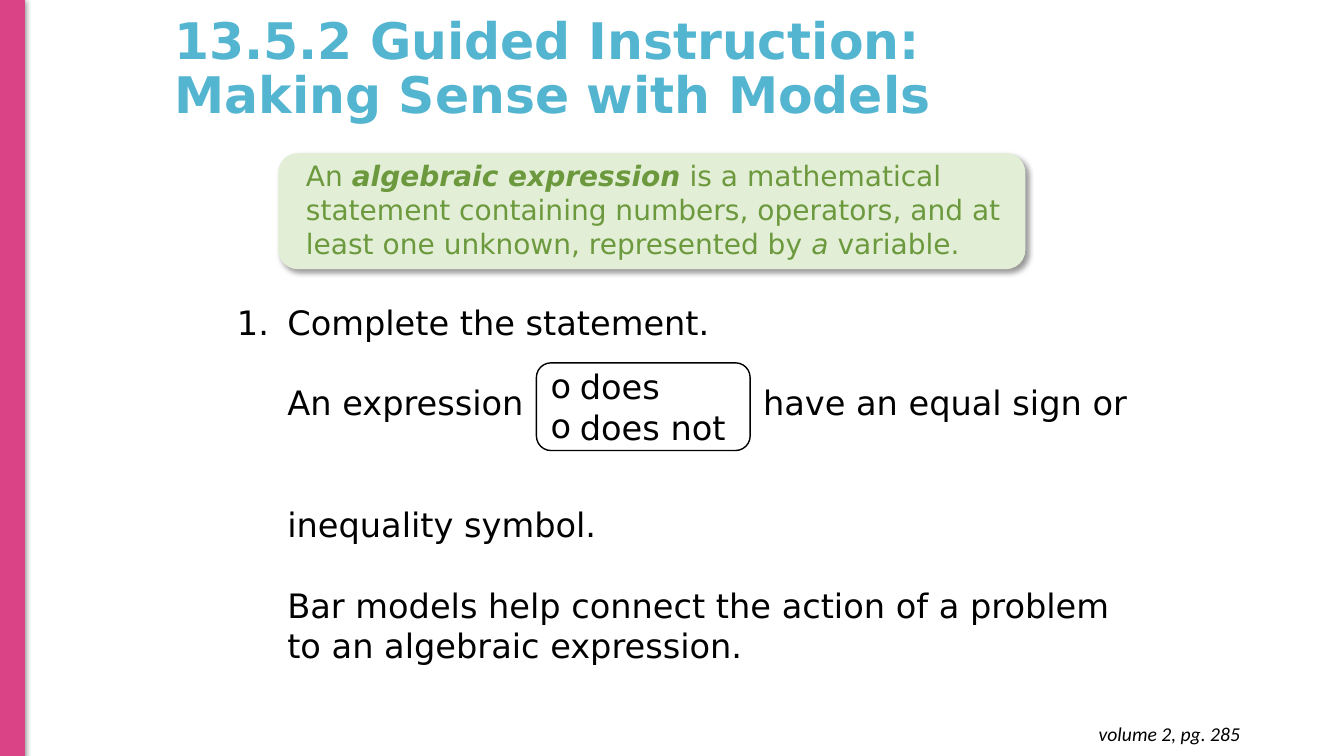
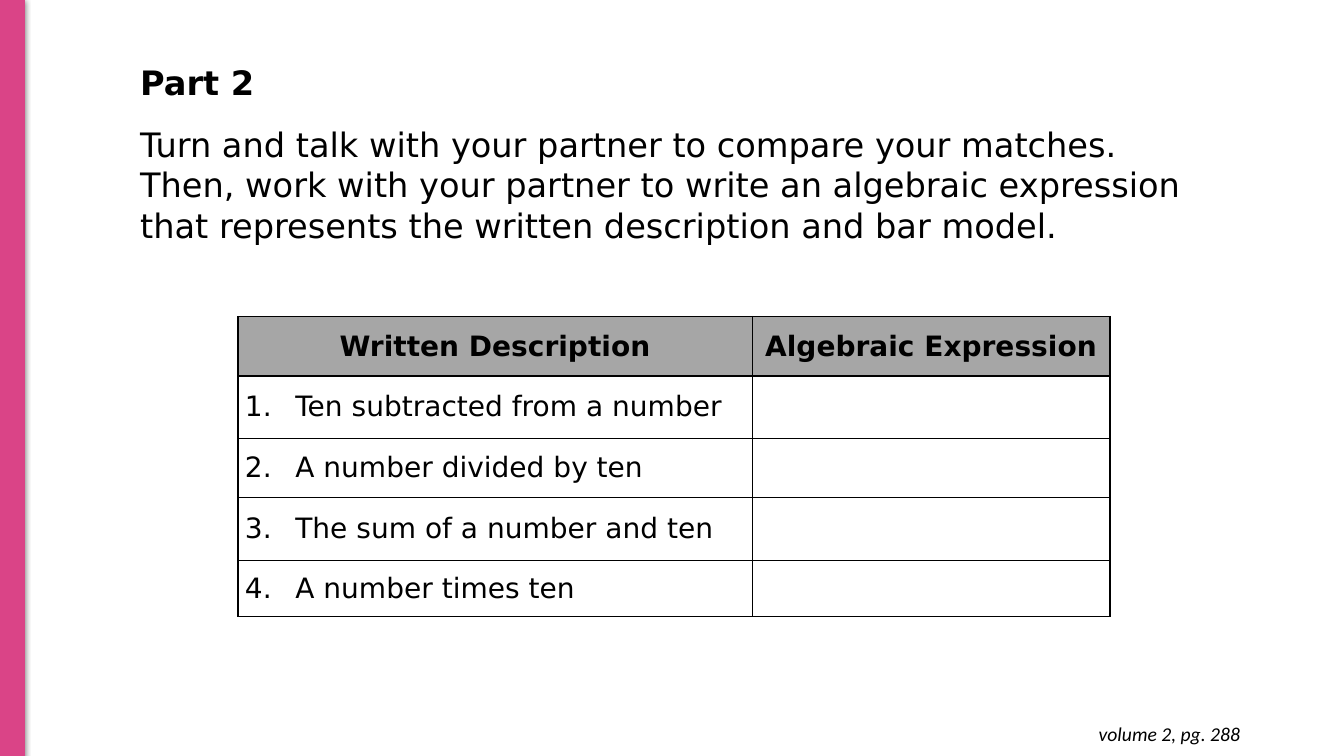
from dataclasses import dataclass, field
from typing import Any

from lxml.etree import SubElement as Sub
from pptx import Presentation
from pptx.dml.color import RGBColor
from pptx.enum.shapes import MSO_SHAPE as Shape
from pptx.enum.text import MSO_ANCHOR as Anchor, MSO_AUTO_SIZE as Fit, PP_ALIGN as Align
from pptx.oxml.ns import qn
from pptx.util import Emu, Pt

PX = 9144

PINK = RGBColor(0xDA, 0x44, 0x87)
BLUE = RGBColor(0x54, 0xB5, 0xD1)
GREEN = RGBColor(0x6C, 0x99, 0x3D)
PALE = RGBColor(0xE2, 0xEE, 0xD5)
GRAY = RGBColor(0xA6, 0xA6, 0xA6)
BLACK = RGBColor(0, 0, 0)
WHITE = RGBColor(0xFF, 0xFF, 0xFF)

SANS = "DejaVu Sans"
HEAD = {"name": SANS, "size": Pt(36), "bold": True}
TEXT = {"name": SANS, "size": Pt(24), "bold": False}
SMALL = {"name": SANS, "size": Pt(20), "bold": False}
NOTE = {"name": "Calibri", "size": Pt(14), "italic": True}
BOLD = {"bold": True}
SLANT = {"italic": True}

INDENT = 50
LINE = 29


@dataclass(frozen=True)
class Box:
    left: int
    top: int
    width: int
    height: int

    def emu(self) -> list[Emu]:
        return [px(n) for n in (self.left, self.top, self.width, self.height)]


@dataclass(frozen=True)
class Run:
    text: str
    font: dict[str, Any] = field(default_factory=dict)


@dataclass(frozen=True)
class Para:
    runs: list[Run]
    left: int = 0
    first: int = 0
    mark: str = ""
    start: int = 0
    before: int = 0
    lines: float = 1.0
    align: Align = Align.LEFT


@dataclass(frozen=True)
class Shade:
    blur: float
    dist: float
    angle: int
    alpha: int


@dataclass(frozen=True)
class Look:
    fill: RGBColor
    line: RGBColor | None = None
    weight: float = 1
    shade: Shade | None = None


def px(count: int) -> Emu:
    return Emu(count * PX)


def put(target: Any, values: dict[str, Any]) -> None:
    for name, value in values.items():
        setattr(target, name, value)


def node(parent: Any, tag: str, **attrs: Any) -> Any:
    return Sub(parent, qn(tag), {key: str(val) for key, val in attrs.items()})


def tint(parent: Any, color: RGBColor) -> Any:
    return node(parent, "a:srgbClr", val=color)


def mark(para: Any, item: Para) -> None:
    props = para._p.get_or_add_pPr()
    props.set("marL", str(px(item.left)))
    props.set("indent", str(px(item.first)))
    if item.start:
        node(props, "a:buAutoNum", type="arabicPeriod", startAt=item.start)
    elif item.mark:
        node(props, "a:buFont", typeface=SANS)
        node(props, "a:buChar", char=item.mark)
    else:
        node(props, "a:buNone")


def write(frame: Any, paras: list[Para], font: dict[str, Any], color: RGBColor) -> None:
    for index, item in enumerate(paras):
        para = frame.add_paragraph() if index else frame.paragraphs[0]
        mark(para, item)
        put(para, {
            "alignment": item.align,
            "line_spacing": item.lines,
            "space_before": Pt(item.before),
            "space_after": Pt(0),
        })
        for part in item.runs:
            run = para.add_run()
            run.text = part.text
            put(run.font, font | part.font)
            run.font.color.rgb = color


def pad(frame: Any, sides: tuple[int, int, int, int], anchor: Anchor) -> None:
    names = ("margin_left", "margin_top", "margin_right", "margin_bottom")
    put(frame, dict(zip(names, map(px, sides))))
    put(frame, {"word_wrap": True, "auto_size": Fit.NONE, "vertical_anchor": anchor})


def place(shape: Any, box: Box, paras: list[Para], font: dict[str, Any],
          color: RGBColor = BLACK, anchor: Anchor = Anchor.TOP,
          sides: tuple[int, int, int, int] = (10, 5, 10, 5)) -> None:
    put(shape, dict(zip(("left", "top", "width", "height"), box.emu())))
    pad(shape.text_frame, sides, anchor)
    write(shape.text_frame, paras, font, color)


def label(slide: Any, box: Box, para: Para, font: dict[str, Any], **options: Any) -> None:
    place(slide.shapes.add_textbox(*box.emu()), box, [para], font, **options)


def draw(slide: Any, kind: Shape, box: Box, look: Look) -> Any:
    shape = slide.shapes.add_shape(kind, *box.emu())
    shape.shadow.inherit = False
    shape.fill.solid()
    shape.fill.fore_color.rgb = look.fill
    if look.line is None:
        shape.line.fill.background()
    else:
        shape.line.color.rgb = look.line
        shape.line.width = Pt(look.weight)
    if look.shade:
        shade = look.shade
        effect = shape._element.spPr.find(qn("a:effectLst"))
        outer = node(effect, "a:outerShdw", blurRad=Pt(shade.blur), dist=Pt(shade.dist),
                     dir=shade.angle * 60000, algn="tl", rotWithShape=0)
        node(tint(outer, BLACK), "a:alpha", val=shade.alpha * 1000)
    return shape


def begin(deck: Any, page: int) -> Any:
    slide = deck.slides.add_slide(deck.slide_layouts[1])
    draw(slide, Shape.RECTANGLE, Box(0, -1, 24, 751),
         Look(PINK, PINK, 0.75, Shade(4.5, 1.5, 90, 50)))
    label(slide, Box(952, 706, 288, 44),
          Para([Run(f"volume 2, pg. {page}")], align=Align.RIGHT),
          NOTE, sides=(10, 10, 10, 10))
    return slide


def border(cell: Any) -> None:
    props = cell._tc.get_or_add_tcPr()
    for side in "LRTB":
        line = node(props, f"a:ln{side}", w=Pt(1))
        tint(node(line, "a:solidFill"), BLACK)


def grid(slide: Any, left: int, top: int, cols: list[int], rows: list[int],
         heads: list[str], items: list[str]) -> None:
    box = Box(left, top, sum(cols), sum(rows))
    table = slide.shapes.add_table(len(rows), len(cols), *box.emu()).table
    put(table, {"first_row": False, "horz_banding": False})
    for col, width in zip(table.columns, cols):
        col.width = px(width)
    for row, height in zip(table.rows, rows):
        row.height = px(height)
    for cell in table.iter_cells():
        border(cell)
        cell.fill.background()
        put(cell, {"margin_left": px(7), "margin_right": px(7), "margin_top": px(4),
                   "margin_bottom": px(4), "vertical_anchor": Anchor.MIDDLE})
    for index, head in enumerate(heads):
        cell = table.cell(0, index)
        cell.fill.solid()
        cell.fill.fore_color.rgb = GRAY
        write(cell.text_frame, [Para([Run(head, BOLD)], align=Align.CENTER)], SMALL, BLACK)
    for index, item in enumerate(items, 1):
        para = Para([Run(item)], left=INDENT, first=-INDENT, start=index)
        write(table.cell(index, 0).text_frame, [para], SMALL, BLACK)


def models(deck: Any) -> None:
    slide = begin(deck, 285)
    title, body = slide.placeholders
    place(title, Box(163, -3, 877, 145),
          [Para([Run("13.5.2 Guided Instruction: Making Sense with Models")], lines=0.9)],
          HEAD, BLUE, Anchor.MIDDLE)
    place(body, Box(225, 294, 911, 374), [
        Para([Run("Complete the statement.")], left=INDENT, first=-INDENT, start=1),
        Para([Run("An expression")], left=INDENT, before=LINE),
        Para([Run("inequality symbol.")], left=INDENT, before=2 * LINE),
        Para([Run("Bar models help connect the action of a problem "
                  "to an algebraic expression.")], left=INDENT, before=LINE),
    ], TEXT)
    label(slide, Box(747, 374, 400, 50), Para([Run("have an equal sign or")]), TEXT)
    box = Box(276, 152, 741, 115)
    fact = draw(slide, Shape.ROUNDED_RECTANGLE, box, Look(PALE, shade=Shade(4, 3, 45, 40)))
    place(fact, box, [Para([
        Run("An "),
        Run("algebraic expression", BOLD | SLANT),
        Run(" is a mathematical statement containing numbers, operators, "
            "and at least one unknown, represented by "),
        Run("a", SLANT),
        Run(" variable."),
    ], left=12)], SMALL, GREEN, sides=(10, 0, 10, 5))
    box = Box(532, 360, 212, 87)
    pick = draw(slide, Shape.ROUNDED_RECTANGLE, box, Look(WHITE, BLACK))
    place(pick, box,
          [Para([Run(word)], left=29, first=-29, mark="o") for word in ("does", "does not")],
          TEXT, anchor=Anchor.MIDDLE, sides=(10, 4, 10, 4))


def partner(deck: Any) -> None:
    slide = begin(deck, 288)
    title, body = slide.placeholders
    place(title, Box(129, 56, 1078, 55), [Para([Run("Part 2")])], TEXT | BOLD)
    place(body, Box(129, 118, 1078, 131), [Para([Run(
        "Turn and talk with your partner to compare your matches. Then, work with "
        "your partner to write an algebraic expression that represents the written "
        "description and bar model.")])], TEXT)
    grid(slide, 236, 314, [510, 355], [59, 62, 59, 62, 56],
         ["Written Description", "Algebraic Expression"],
         ["Ten subtracted from a number", "A number divided by ten",
          "The sum of a number and ten", "A number times ten"])


def main() -> None:
    deck = Presentation()
    put(deck, {"slide_width": px(1333), "slide_height": px(750)})
    models(deck)
    partner(deck)
    deck.save("out.pptx")


if __name__ == "__main__":
    main()
